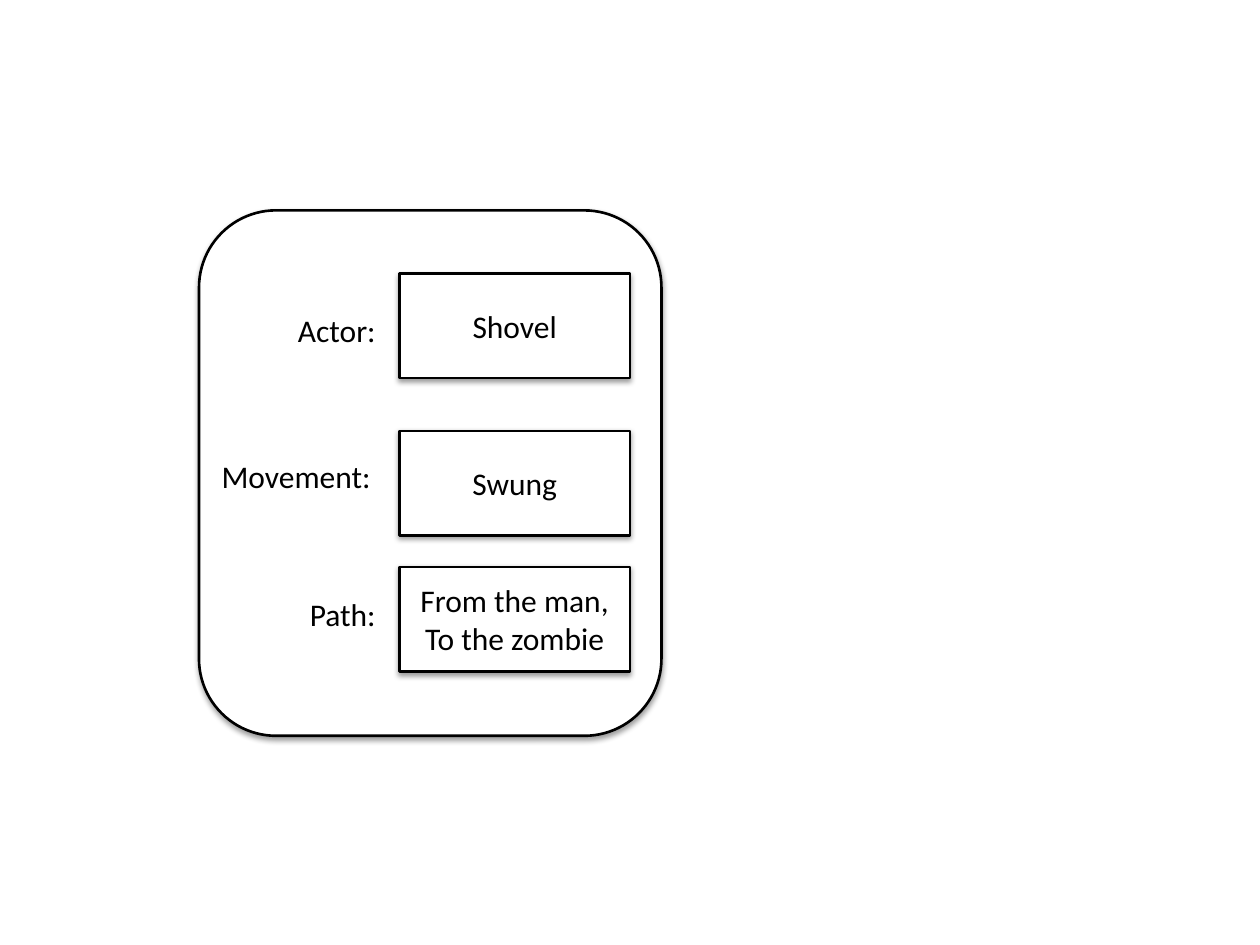
from lxml import etree
from pptx import Presentation
from pptx.dml.color import RGBColor
from pptx.enum import shapes, text
from pptx.oxml import parse_xml
from pptx.util import Inches, Pt

BLACK, WHITE = "000000", "FFFFFF"
LEFT, CENTER, RIGHT = (text.PP_ALIGN.LEFT, text.PP_ALIGN.CENTER,
                       text.PP_ALIGN.RIGHT)
TOP, MIDDLE = text.MSO_ANCHOR.TOP, text.MSO_ANCHOR.MIDDLE
RECTANGLE = shapes.MSO_SHAPE.RECTANGLE
ROUNDED = shapes.MSO_SHAPE.ROUNDED_RECTANGLE

FRAME = (1.58, 1.67, 3.67, 4.17)
VALUE_LEFT, VALUE_WIDTH, VALUE_HEIGHT = 3.17, 1.83, 0.83
LABEL_RIGHT, LABEL_HEIGHT = 3.08, 0.4

# label, label top, label width, label alignment, value lines, value top
ROWS = [
    ("Actor:", 2.42, 1.25, RIGHT, ["Shovel"], 2.17),
    ("Movement:", 3.58, 1.42, LEFT, ["Swung"], 3.42),
    ("Path:", 4.67, 1.42, RIGHT, ["From the man,", "To the zombie"], 4.5),
]

SHADOW = (
    '<a:effectLst xmlns:a="http://schemas.openxmlformats.org/drawingml/2006/main">'
    '<a:outerShdw blurRad="40000" dist="20000" dir="5400000" rotWithShape="0">'
    '<a:srgbClr val="000000"><a:alpha val="38000"/></a:srgbClr>'
    '</a:outerShdw></a:effectLst>'
)


def color(value):
    """Turn a hex string into a colour."""
    return RGBColor.from_string(value)


def add_box(slide, kind, place, line, shadow=False):
    """Add a white outlined shape, with a soft shadow if asked."""
    shape = slide.shapes.add_shape(kind, *map(Inches, place))
    shape.fill.solid()
    shape.fill.fore_color.rgb = color(WHITE)
    shape.line.color.rgb = color(line)
    shape.line.width = Pt(1.5)
    shape.shadow.inherit = False
    if shadow:
        properties = shape.fill._xPr
        empty = properties.find("{*}effectLst")
        properties.replace(empty, parse_xml(SHADOW))
    return shape


def write(shape, lines, alignment, anchor):
    """Write one paragraph for each line."""
    frame = shape.text_frame
    frame.word_wrap = True
    frame.vertical_anchor = anchor
    frame.text = "\n".join(lines)
    for paragraph in frame.paragraphs:
        paragraph.alignment = alignment
        font = paragraph.runs[0].font
        for name, value in {"name": "Calibri", "size": Pt(18)}.items():
            setattr(font, name, value)
        font.color.rgb = color(BLACK)


presentation = Presentation()
presentation.slide_width, presentation.slide_height = Inches(10), Inches(7.5)
slide = presentation.slides.add_slide(presentation.slide_layouts[6])

add_box(slide, ROUNDED, FRAME, BLACK, shadow=True)
for label, label_top, width, alignment, lines, value_top in ROWS:
    value_place = (VALUE_LEFT, value_top, VALUE_WIDTH, VALUE_HEIGHT)
    value_box = add_box(slide, RECTANGLE, value_place, BLACK, shadow=True)
    write(value_box, lines, CENTER, MIDDLE)
    label_place = (LABEL_RIGHT - width, label_top, width, LABEL_HEIGHT)
    label_box = add_box(slide, RECTANGLE, label_place, WHITE)
    write(label_box, [label], alignment, TOP)
    label_box.text_frame.auto_size = text.MSO_AUTO_SIZE.SHAPE_TO_FIT_TEXT

presentation.save("out.pptx")
